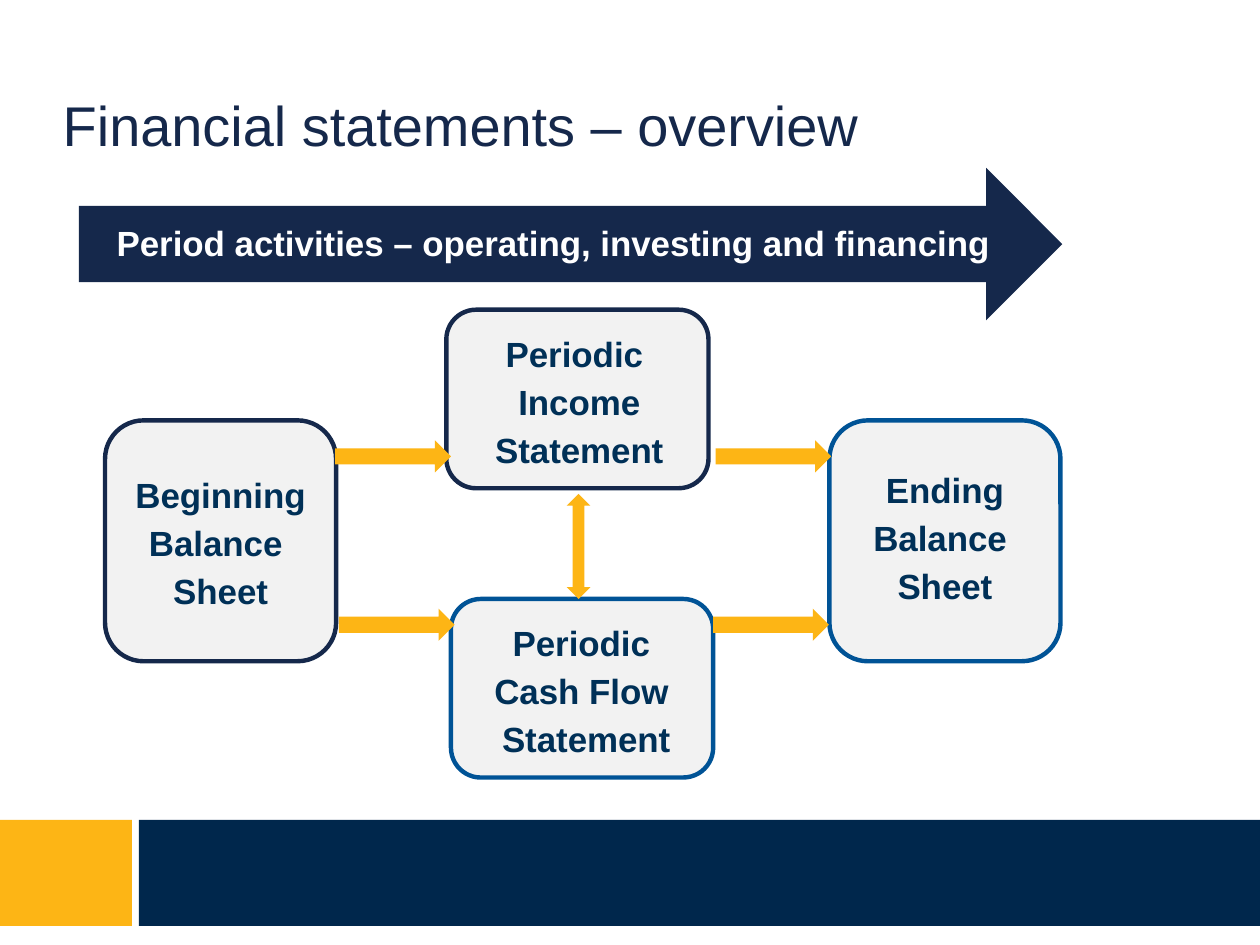
from collections import namedtuple
from dataclasses import dataclass

from pptx import Presentation
from pptx.dml.color import RGBColor
from pptx.enum.shapes import MSO_SHAPE as Kind
from pptx.enum.text import MSO_ANCHOR as Anchor, PP_ALIGN as Align
from pptx.util import Cm, Pt

Box = namedtuple("Box", "left top width height")


@dataclass(frozen=True)
class Theme:
    """Colours and type sizes of the slide."""
    font: str = "Arial"
    navy: str = "15284B"
    deep: str = "00274C"
    blue: str = "005396"
    ink: str = "003057"
    gold: str = "FDB515"
    pale: str = "F2F2F2"
    white: str = "FFFFFF"
    title: float = 34.1
    title_gap: float = 41
    body: float = 21.3
    body_gap: float = 29.2
    edge: float = 2.7


THEME = Theme()


def within(box, left, top, width, height):
    """Return a box given relative to the corner of another."""
    return Box(box.left + left, box.top + top, width, height)


def add_form(slide, kind, box, fill, edge=None):
    """Add a filled preset shape with an optional outline."""
    form = slide.shapes.add_shape(kind, *map(Cm, box))
    form.shadow.inherit = False
    form.fill.solid()
    form.fill.fore_color.rgb = RGBColor.from_string(fill)
    if edge:
        form.line.color.rgb = RGBColor.from_string(edge)
        form.line.width = Pt(THEME.edge)
    else:
        form.line.fill.background()
    return form


def write(form, text, size, gap, color, bold=False, align=Align.LEFT,
          anchor=Anchor.TOP, left=0, top=0):
    """Fill a shape with evenly styled text."""
    frame = form.text_frame
    frame.word_wrap = True
    frame.vertical_anchor = anchor
    frame.margin_left, frame.margin_top = Cm(left), Cm(top)
    frame.margin_right = frame.margin_bottom = 0
    frame.text = text
    for para in frame.paragraphs:
        para.alignment = align
        para.line_spacing = Pt(gap)
        for run in para.runs:
            run.font.name = THEME.font
            run.font.size = Pt(size)
            run.font.bold = bold
            run.font.color.rgb = RGBColor.from_string(color)


def add_title(slide, box):
    """Add the slide title."""
    form = slide.shapes.add_textbox(*map(Cm, box))
    write(form, "Financial statements – overview", THEME.title,
          THEME.title_gap, THEME.navy, anchor=Anchor.MIDDLE)


def add_banner(slide, box):
    """Add the wide arrow that names the period activities."""
    form = add_form(slide, Kind.RIGHT_ARROW, box, THEME.navy)
    write(form, "Period activities – operating, investing and financing",
          THEME.body, THEME.body_gap, THEME.white, True, left=0.81, top=0.2)


def add_flow(slide, box):
    """Add the four statements and the arrows between them."""
    sheet, report = (4.97, 5.18), (5.64, 3.84)
    cards = [
        ("Periodic \nCash Flow \nStatement", 7.44, 6.22, report, THEME.blue, 0.18, 0.17),
        ("Beginning Balance \nSheet", 0, 2.38, sheet, THEME.navy, 0, 0.78),
        ("Periodic \nIncome Statement", 7.34, 0, report, THEME.navy, 0.08, 0.17),
        ("Ending Balance \nSheet", 15.58, 2.38, sheet, THEME.blue, 0, 0.67),
    ]
    for text, left, top, size, edge, inset, drop in cards:
        form = add_form(slide, Kind.ROUNDED_RECTANGLE,
                        within(box, left, top, *size), THEME.pale, edge)
        write(form, text, THEME.body, THEME.body_gap, THEME.ink, True,
              Align.CENTER, left=inset, top=drop)
    for left, top in [(4.95, 2.81), (5.03, 6.43), (13.13, 2.81), (13.08, 6.43)]:
        add_form(slide, Kind.RIGHT_ARROW, within(box, left, top, 2.49, 0.69), THEME.gold)
    add_form(slide, Kind.UP_DOWN_ARROW, within(box, 9.93, 3.96, 0.51, 2.26), THEME.gold)


def add_footer(slide, box):
    """Add the gold block and the dark band beside it."""
    block, gap = 2.84, 0.15
    start = block + gap
    add_form(slide, Kind.RECTANGLE, within(box, 0, 0, block, box.height), THEME.gold)
    add_form(slide, Kind.RECTANGLE,
             within(box, start, 0, box.width - start, box.height), THEME.deep)


def main():
    """Build the slide and save it."""
    deck = Presentation()
    deck.slide_width, deck.slide_height = Cm(27.1), Cm(20.32)
    slide = deck.slides.add_slide(deck.slide_layouts[6])
    add_footer(slide, Box(0, 17.63, 27.1, 2.28))
    add_title(slide, Box(1.35, 1.02, 24.38, 3.28))
    add_flow(slide, Box(2.26, 6.66, 20.55, 10.06))
    add_banner(slide, Box(1.7, 3.61, 21.15, 3.28))
    deck.save("out.pptx")


if __name__ == "__main__":
    main()
